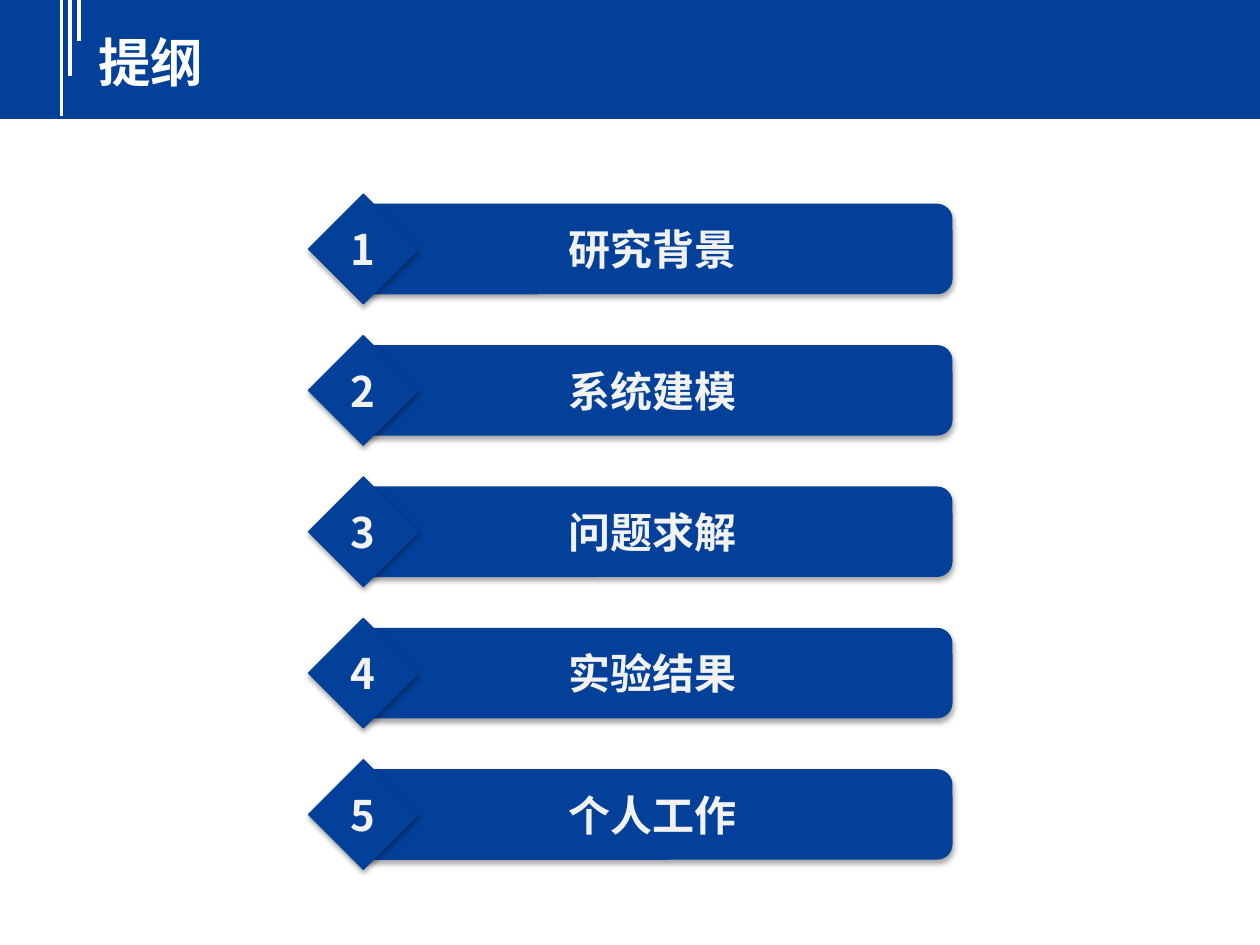
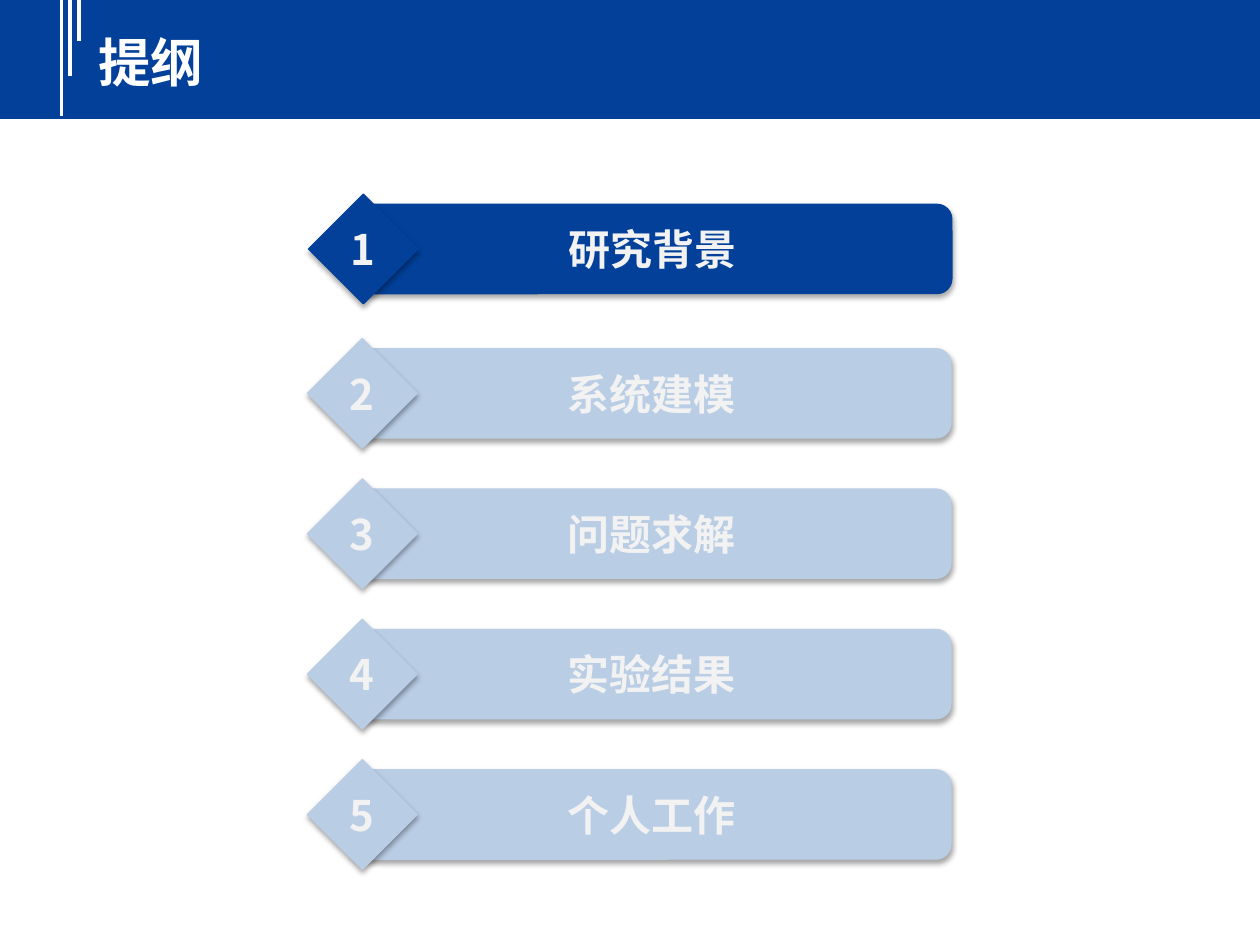
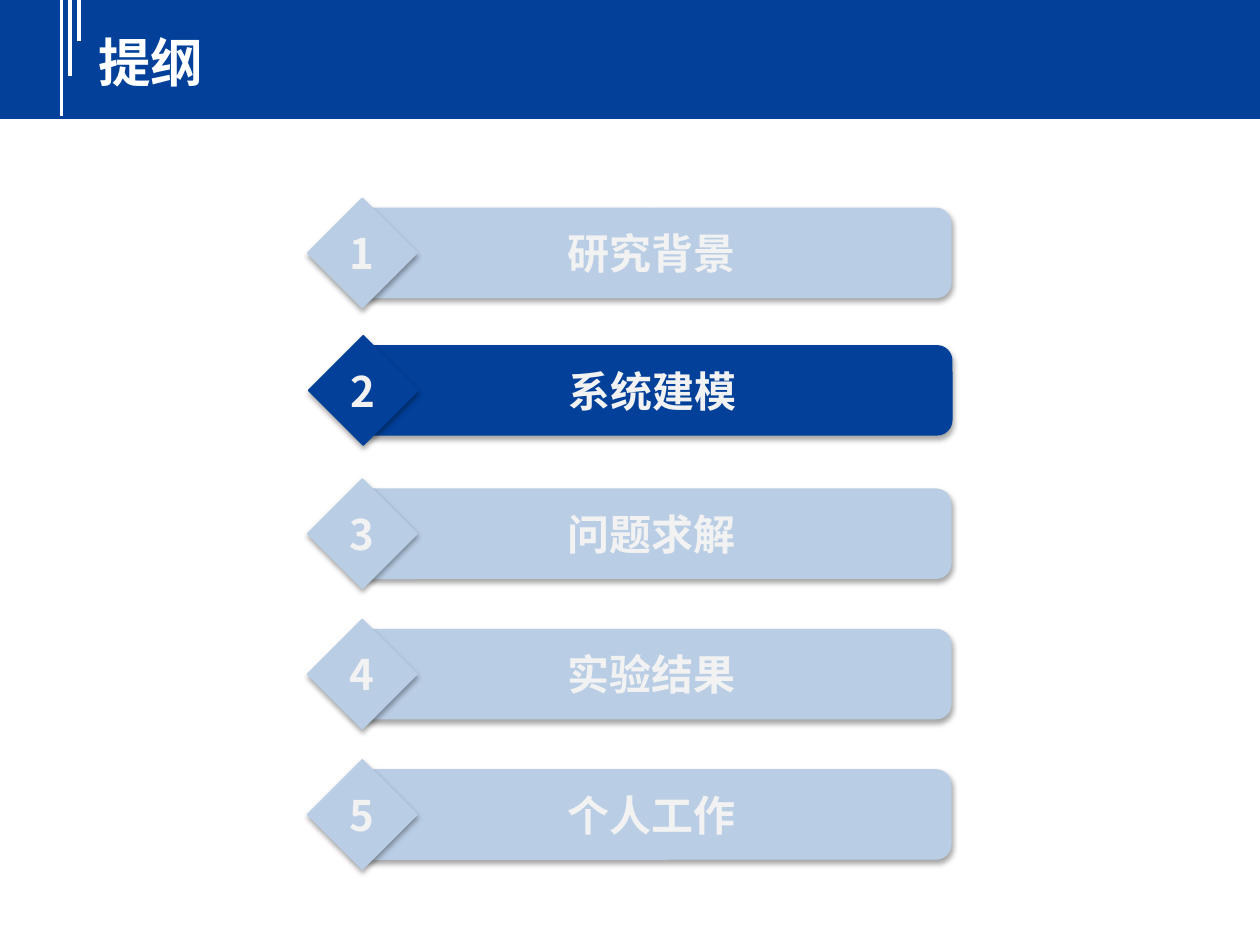
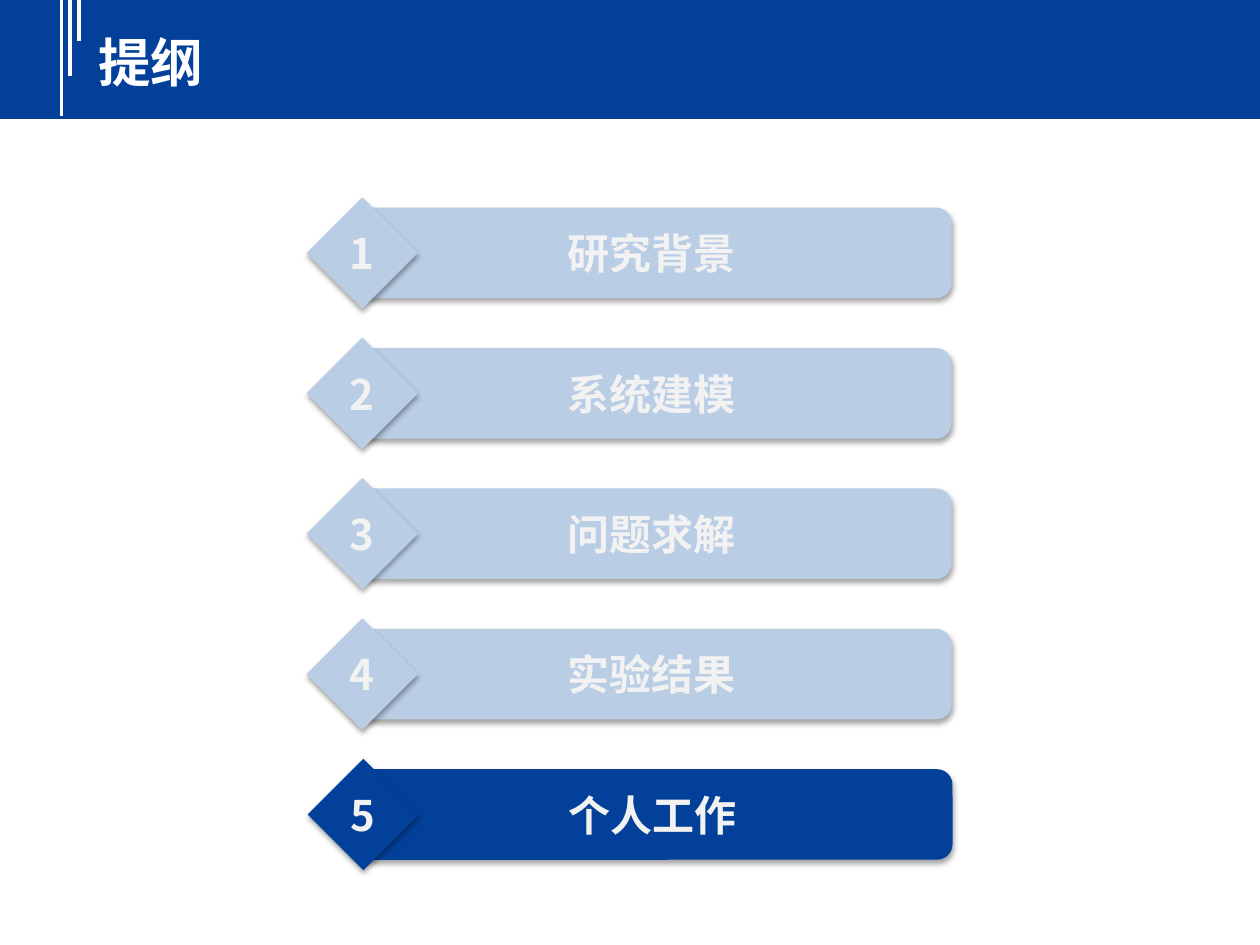
from lxml import etree
from pptx import Presentation
from pptx.dml.color import RGBColor as RGB
from pptx.enum.shapes import MSO_CONNECTOR as LINK, MSO_SHAPE as SHAPE
from pptx.enum.text import MSO_ANCHOR as ANCHOR, MSO_AUTO_SIZE as AUTO, PP_ALIGN as ALIGN
from pptx.oxml.ns import qn
from pptx.util import Cm, Pt

# Shared look
COLORS = {"active": "02409A", "faded": "B9CDE5", "label": "F2F2F2", "white": "FFFFFF", "shadow": "000000"}
CJK_FONT = "Noto Sans CJK SC"
TITLE_FONT = {"name": CJK_FONT, "size": Pt(30), "bold": True}
LABEL_FONT = {"name": "Calibri", "size": Pt(24), "bold": True}
NUMBER_FONT = {**LABEL_FONT, "name": CJK_FONT}
TITLE_FRAME = {"word_wrap": True, "vertical_anchor": ANCHOR.TOP, "auto_size": AUTO.SHAPE_TO_FIT_TEXT}
NODE_FRAME = {"word_wrap": False, "vertical_anchor": ANCHOR.MIDDLE}
SHADOW = {"blurRad": "40000", "dist": "23000", "dir": "5400000", "rotWithShape": "0"}

# Content: five sections, and the section lit on each slide (None lights all)
SECTIONS = ["研究背景", "系统建模", "问题求解", "实验结果", "个人工作"]
LIT_SECTIONS = [None, 1, 2, 5]

# Geometry in centimetres
SLIDE_W, SLIDE_H, BAND_H = 25.4, 19.05, 2.4
STRIPES = [(1.24, 2.33), (1.42, 1.54), (1.6, 0.83)]
BAR_X, BAR_W, BAR_H = 7.12, 12.07, 1.8
DIAMOND_X, DIAMOND_SIZE = 6.22, 2.21
LAST_ROW_Y = 15.52
ROW_STEP = {"active": 2.85, "faded": 2.83}


def write(shape, text, frame_format, font_format, color, align):
    """Put formatted text in a shape."""
    frame = shape.text_frame
    frame.text = text
    for key, value in frame_format.items():
        setattr(frame, key, value)
    paragraph = frame.paragraphs[0]
    paragraph.alignment = align
    run = paragraph.runs[0]
    for key, value in font_format.items():
        setattr(run.font, key, value)
    run.font.color.rgb = RGB.from_string(COLORS[color])
    east_asian = etree.SubElement(run.font._element, qn("a:ea"))
    east_asian.set("typeface", CJK_FONT)


def add_node(group, kind, box, state, text, font_format):
    """Add one shadowed, labelled shape to a section's group."""
    node = group.shapes.add_shape(kind, *[Cm(length) for length in box])
    node.fill.solid()
    node.fill.fore_color.rgb = node.line.color.rgb = RGB.from_string(COLORS[state])
    node.line.width = Pt(0.75)
    node.shadow.inherit = False
    effects = node._element.spPr.find(qn("a:effectLst"))
    shadow = etree.SubElement(effects, qn("a:outerShdw"), SHADOW)
    tint = etree.SubElement(shadow, qn("a:srgbClr"), val=COLORS["shadow"])
    etree.SubElement(tint, qn("a:alpha"), val="35000")
    write(node, text, NODE_FRAME, font_format, "label", ALIGN.CENTER)


deck = Presentation()
deck.slide_width, deck.slide_height = Cm(SLIDE_W), Cm(SLIDE_H)
title_only = deck.slide_layouts[5]

for lit in LIT_SECTIONS:
    slide = deck.slides.add_slide(title_only)
    shapes = slide.shapes

    # Header band with three stripes
    band = shapes.add_shape(SHAPE.RECTANGLE, 0, 0, Cm(SLIDE_W), Cm(BAND_H))
    band.shadow.inherit = False
    band.fill.solid()
    band.fill.fore_color.rgb = RGB.from_string(COLORS["active"])
    band.line.fill.background()
    for x, bottom in STRIPES:
        stripe = shapes.add_connector(LINK.STRAIGHT, Cm(x), 0, Cm(x), Cm(bottom))
        stripe.line.color.rgb = RGB.from_string(COLORS["white"])
        stripe.line.width = Pt(2.25)
        etree.SubElement(stripe._element.spPr, qn("a:effectLst"))

    # Title, brought in front of the band
    title = shapes.title
    place = {"left": Cm(1.73), "top": Cm(0.48), "width": Cm(23.16), "height": Cm(1.54)}
    for key, value in place.items():
        setattr(title, key, value)
    write(title, "提纲", TITLE_FRAME, TITLE_FONT, "white", ALIGN.LEFT)
    shapes._spTree.append(title._element)

    # Agenda rows: rounded bar with a numbered diamond
    for number, section in enumerate(SECTIONS, start=1):
        state = "active" if lit in (None, number) else "faded"
        bar_y = LAST_ROW_Y - (len(SECTIONS) - number) * ROW_STEP[state]
        diamond_y = bar_y - (DIAMOND_SIZE - BAR_H) / 2
        shift = 0 if state == "active" else -0.02
        row = shapes.add_group_shape()
        add_node(row, SHAPE.ROUNDED_RECTANGLE, (BAR_X + shift, bar_y, BAR_W, BAR_H),
                 state, section, LABEL_FONT)
        add_node(row, SHAPE.DIAMOND, (DIAMOND_X + shift, diamond_y, DIAMOND_SIZE, DIAMOND_SIZE),
                 state, str(number), NUMBER_FONT)

deck.save("out.pptx")
